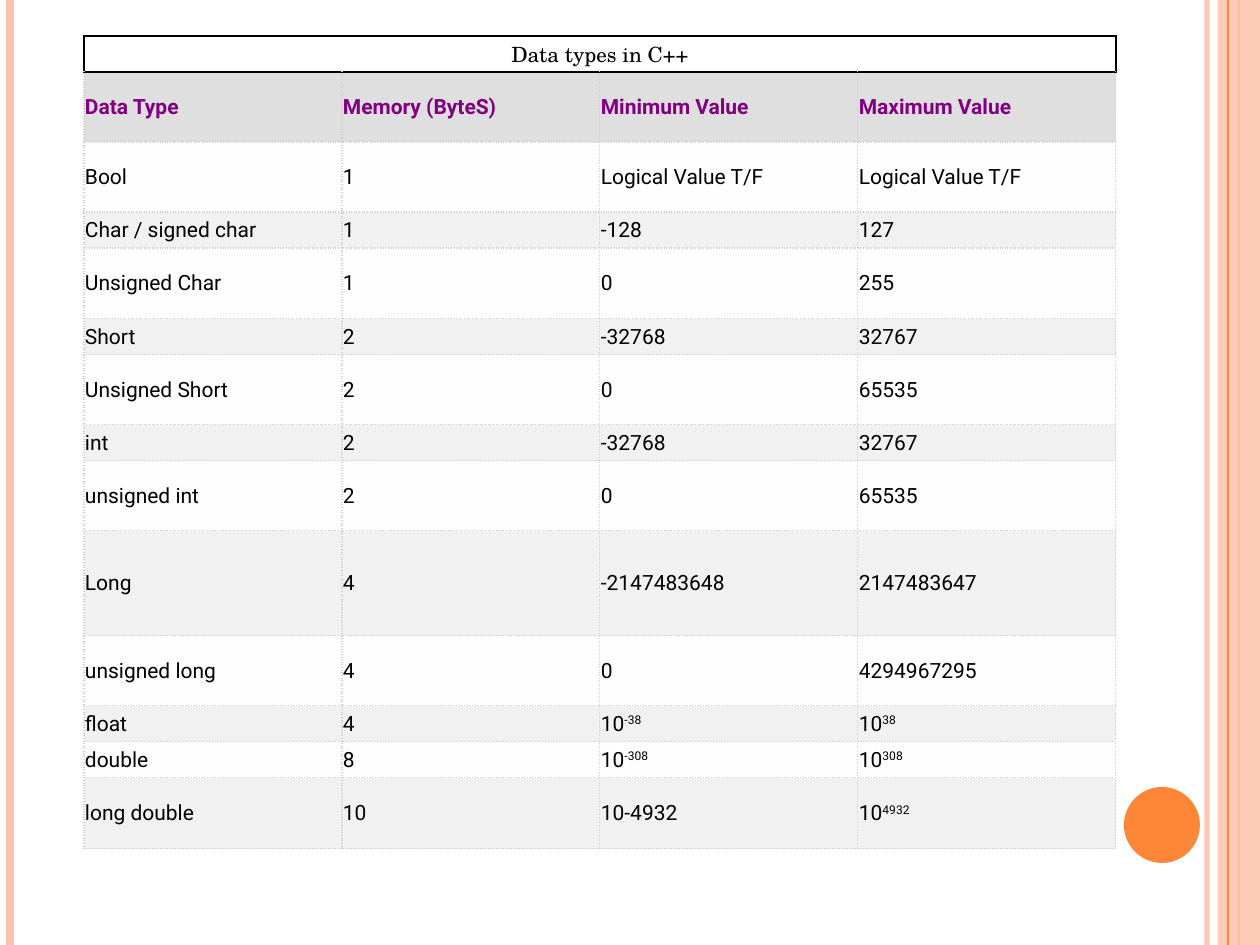
from itertools import pairwise
from lxml.etree import SubElement as Sub
from pptx import Presentation
from pptx.dml.color import RGBColor
from pptx.enum.shapes import MSO_CONNECTOR as CON, MSO_SHAPE as SHP
from pptx.enum.text import MSO_ANCHOR as ANC, PP_ALIGN as ALN
from pptx.oxml.ns import qn
from pptx.util import Emu, Pt

DOT = ("CCCCCC", 0.75, "sysDot")
BOX = ("000000", 1, "solid")

EDGES = [36, 72, 142, 212, 248, 319, 355, 425, 461, 531, 636, 706, 742, 778, 849]
HEAD = ["Data Type", "Memory (ByteS)", "Minimum Value", "Maximum Value"]
# A caret starts a superscript
ROWS = [
    ["Bool", "1", "Logical Value T/F", "Logical Value T/F"],
    ["Char / signed char", "1", "-128", "127"],
    ["Unsigned Char", "1", "0", "255"],
    ["Short", "2", "-32768", "32767"],
    ["Unsigned Short", "2", "0", "65535"],
    ["int", "2", "-32768", "32767"],
    ["unsigned int", "2", "0", "65535"],
    ["Long", "4", "-2147483648", "2147483647"],
    ["unsigned long", "4", "0", "4294967295"],
    ["float", "4", "10^-38", "10^38"],
    ["double", "8", "10^-308", "10^308"],
    ["long double", "10", "10-4932", "10^4932"],
]


def px(n):
    return Emu(round(n * 914400 / 126))


def color(code):
    return RGBColor.from_string(code)


def fade(fill, pct):
    """Make a solid fill element partly transparent."""
    Sub(fill[0], qn("a:alpha"), val=str(pct * 1000))


class Deck:
    font, size = "Roboto", 12

    def __init__(self, wide, high):
        self.prs = Presentation()
        self.prs.slide_width, self.prs.slide_height = px(wide), px(high)
        self.high = high
        self.slide = self.prs.slides.add_slide(self.prs.slide_layouts[6])

    def rule(self, x, tint, width, alpha=None):
        line = self.slide.shapes.add_connector(
            CON.STRAIGHT, px(x), 0, px(x), px(self.high))
        line.line.color.rgb = color(tint)
        line.line.width = Pt(width)
        props = line._element.spPr
        Sub(props, qn("a:effectLst"))
        if alpha:
            fade(props.find(qn("a:ln")).find(qn("a:solidFill")), alpha)

    def shape(self, kind, x, y, w, h, tint, alpha=None):
        item = self.slide.shapes.add_shape(kind, px(x), px(y), px(w), px(h))
        item.shadow.inherit = False
        item.fill.solid()
        item.fill.fore_color.rgb = color(tint)
        item.line.fill.background()
        if alpha:
            fade(item._element.spPr.find(qn("a:solidFill")), alpha)

    def grid(self, x, edges, cols, width):
        table = self.slide.shapes.add_table(
            len(edges) - 1, cols, px(x), px(edges[0]),
            px(cols * width), px(edges[-1] - edges[0])).table
        table.first_row = table.horz_banding = False
        for col in table.columns:
            col.width = px(width)
        for row, (top, end) in zip(table.rows, pairwise(edges)):
            row.height = px(end - top)
        return table

    def edge(self, cell, sides, style):
        tint, width, dash = style
        props = cell._tc.get_or_add_tcPr()
        for side in sides:
            line = Sub(props, qn("a:ln" + side), w=str(Pt(width)))
            fill = Sub(line, qn("a:solidFill"))
            Sub(fill, qn("a:srgbClr"), val=tint)
            Sub(line, qn("a:prstDash"), val=dash)

    def cell(self, cell, text, fill=None, tint="000000", bold=False,
             font=None, align=ALN.LEFT):
        cell.vertical_anchor = ANC.MIDDLE
        cell.margin_left = cell.margin_right = px(1)
        cell.margin_top = cell.margin_bottom = px(1)
        if fill:
            cell.fill.solid()
            cell.fill.fore_color.rgb = color(fill)
        else:
            cell.fill.background()
        para = cell.text_frame.paragraphs[0]
        para.alignment = align
        base, _, power = text.partition("^")
        for part, lift in ((base, 0), (power, 30000)):
            if not part:
                continue
            run = para.add_run()
            run.text = part
            run.font.name = font or self.font
            run.font.size = Pt(self.size)
            run.font.bold = bold
            run.font.color.rgb = color(tint)
            if lift:
                run._r.get_or_add_rPr().set("baseline", str(lift))


def main():
    deck = Deck(1260, 945)

    # Side bands and disc
    deck.rule(1207, "FEC3AE", 3, 93)
    deck.rule(10, "FEC3AE", 4.5)
    deck.rule(1239, "FE8637", 1.5)
    deck.shape(SHP.RECTANGLE, 1218, 0, 42, 945, "FEC3AE", 87)
    deck.rule(1228, "FE8637", 0.75)
    deck.shape(SHP.OVAL, 1124, 787, 76, 76, "FE8637")

    # Table title, across all columns
    table = deck.grid(84, EDGES, len(HEAD), 258)
    title = table.cell(0, 0)
    title.merge(table.cell(0, len(HEAD) - 1))
    for col in range(len(HEAD)):
        deck.edge(table.cell(0, col), "LRTB", BOX)
    deck.cell(title, "Data types in C++", font="TeX Gyre Schola", align=ALN.CENTER)

    # Column heads
    for col, text in enumerate(HEAD):
        cell = table.cell(1, col)
        deck.edge(cell, "LR", DOT)
        deck.edge(cell, "T", BOX)
        deck.edge(cell, "B", DOT)
        deck.cell(cell, text, "DFDFDF", "800080", True)

    # Data rows in two shades
    for num, row in enumerate(ROWS):
        for col, text in enumerate(row):
            cell = table.cell(num + 2, col)
            deck.edge(cell, "LRTB", DOT)
            deck.cell(cell, text, ("FEFEFE", "F1F1F1")[num % 2])

    deck.prs.save("out.pptx")


if __name__ == "__main__":
    main()
